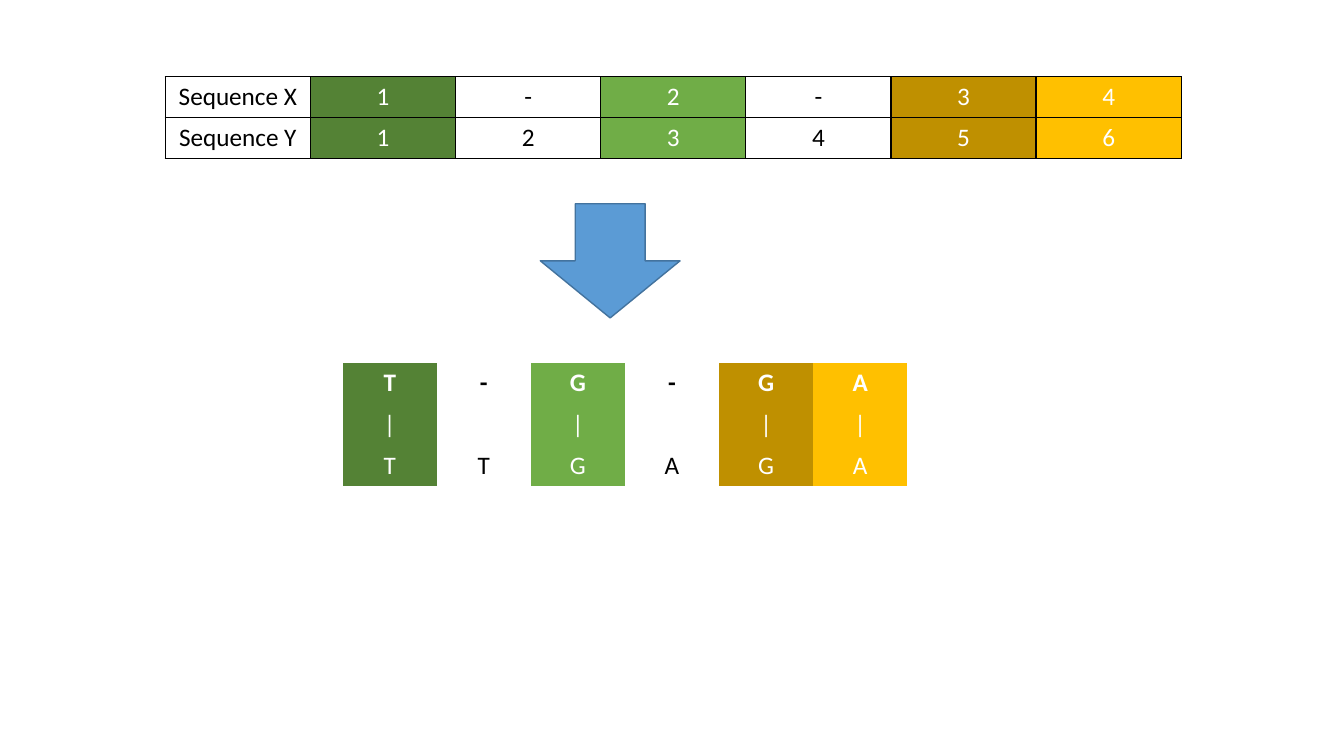
from lxml.etree import SubElement
from pptx import Presentation
from pptx.dml.color import RGBColor
from pptx.enum.shapes import MSO_SHAPE
from pptx.enum.text import PP_ALIGN
from pptx.oxml.ns import qn
from pptx.util import Inches, Pt

HUES = {
    "black": "000000", "white": "FFFFFF", "blue": "5B9BD5", "edge": "43739E",
    "forest": "548235", "green": "70AD47", "ochre": "BF9000", "gold": "FFC000",
}
PLAIN = "{2D5ABB26-0587-4C30-8999-92F81FD0307C}"
PAIRS = ["forest", None, "green", None, "ochre", "gold"]


class Deck:
    """Draw styled elements, placed in percent of the slide's size."""

    def __init__(self, font="Calibri", size=18):
        self.font, self.size = font, Pt(size)
        self.prs = Presentation()
        self.prs.slide_width, self.prs.slide_height = Inches(13.33), Inches(7.5)
        self.slide = self.prs.slides.add_slide(self.prs.slide_layouts[6])

    def hue(self, name):
        return RGBColor.from_string(HUES[name])

    def box(self, left, top, width, height):
        wide, high = self.prs.slide_width, self.prs.slide_height
        shares = (left, wide), (top, high), (width, wide), (height, high)
        return [round(part * whole / 100) for part, whole in shares]

    def arrow(self, *place):
        shape = self.slide.shapes.add_shape(MSO_SHAPE.DOWN_ARROW, *self.box(*place))
        shape.shadow.inherit = False
        shape.fill.solid()
        shape.fill.fore_color.rgb = self.hue("blue")
        shape.line.color.rgb = self.hue("edge")
        shape.line.width = Pt(1)

    def frame(self, cell):
        props = cell._tc.get_or_add_tcPr()
        for side in ("lnL", "lnR", "lnT", "lnB"):
            line = SubElement(props, qn(f"a:{side}"), w=str(Pt(1)))
            fill = SubElement(line, qn("a:solidFill"))
            SubElement(fill, qn("a:srgbClr"), val=HUES["black"])

    def fill(self, cell, text, back, bold):
        if back:
            cell.fill.solid()
            cell.fill.fore_color.rgb = self.hue(back)
        else:
            cell.fill.background()
        cell.text_frame.text = text
        para = cell.text_frame.paragraphs[0]
        para.alignment = PP_ALIGN.CENTER
        para.font.size = self.size
        for run in para.runs:
            font = run.font
            font.name, font.size, font.bold = self.font, self.size, bold
            font.color.rgb = self.hue("black" if back in (None, "white") else "white")

    def table(self, place, rows, backs, grid=False, head=False):
        shape = self.slide.shapes.add_table(len(rows), len(backs), *self.box(*place))
        table = shape.table
        table.first_row = table.horz_banding = False
        table._tbl.tblPr.find(qn("a:tableStyleId")).text = PLAIN
        for r, row in enumerate(rows):
            for c, (text, back) in enumerate(zip(row, backs)):
                cell = table.cell(r, c)
                if grid:
                    self.frame(cell)
                self.fill(cell, text, back, head and r == 0)

    def save(self):
        self.prs.save("out.pptx")


deck = Deck()
deck.table(
    (12.3, 10.15, 75.6, 10.85),
    [["Sequence X", *"1-2-34"], ["Sequence Y", *"123456"]],
    ["white"] + [back or "white" for back in PAIRS],
    grid=True,
)
deck.arrow(40.2, 26.95, 10.4, 15.1)
links = ["|" if back else "" for back in PAIRS]
deck.table((25.5, 48, 42, 16.3), ["T-G-GA", links, "TTGAGA"], PAIRS, head=True)
deck.save()
